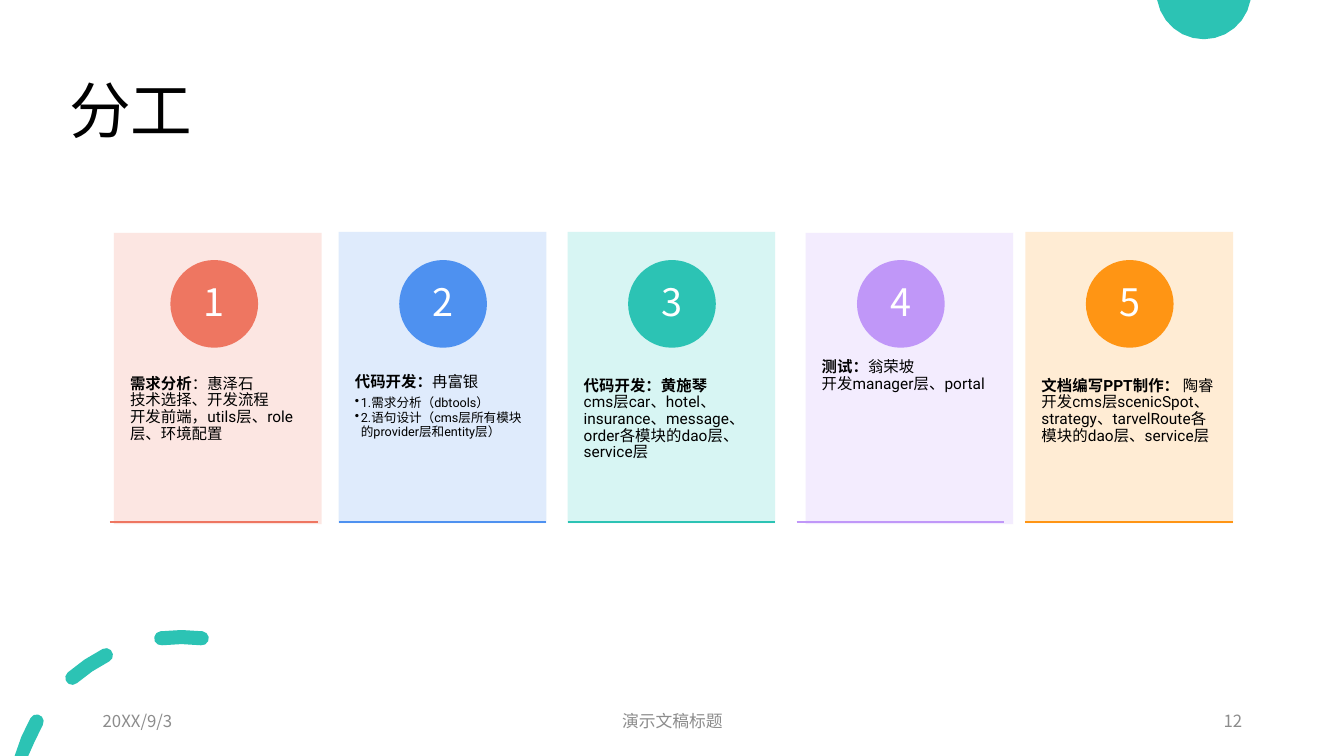
from math import cos, radians, sin

from pptx import Presentation
from pptx.dml.color import RGBColor
from pptx.enum.shapes import MSO_CONNECTOR, MSO_SHAPE
from pptx.enum.text import MSO_ANCHOR, PP_ALIGN
from pptx.oxml.ns import qn
from pptx.util import Emu, Inches, Pt
from lxml.etree import SubElement

WIDTH, HEIGHT = 13.33, 7.5
FIRST, COLUMN = 1.09, 2.27  # left edge and pitch of the card columns
CARD_TOP, CARD_WIDTH, CARD_HEIGHT = 2.3, 2.06, 2.89
CIRCLE_TOP, CIRCLE, NUMBER_INSET = 2.58, 0.87, 0.13
RULE_TOP = 5.18
HEADING_FONT, BODY_FONT = "Noto Sans CJK SC", "Roboto"

COLORS = {
    "teal": "2CC3B4", "coral": "EE7661", "blue": "4E91F0",
    "violet": "C097F8", "orange": "FF9514",
    "coral_tint": "FCE4DF", "blue_tint": "DCE9FC", "teal_tint": "D3F5F2",
    "violet_tint": "F2EAFE", "orange_tint": "FFEAD0",
    "black": "000000", "white": "FFFFFF", "grey": "8C8C8C",
}

# Colour, card shift (right, down), bold text, plain text, bullets
TASKS = [
    ("coral", (0.04, 0.01), "需求分析",
     "：惠泽石\n技术选择、开发流程\n开发前端，utils层、role层、环境配置", []),
    ("blue", (0, 0), "代码开发：", "冉富银",
     ["1.需求分析（dbtools）",
      "2.语句设计（cms层所有模块的provider层和entity层）"]),
    ("teal", (0, 0), "代码开发：黄施琴\n",
     "cms层car、hotel、insurance、message、order各模块的dao层、service层", []),
    ("violet", (0.09, 0.01), "测试：", "翁荣坡\n开发manager层、portal", []),
    ("orange", (0, 0), "文档编写PPT制作： ",
     "陶睿\n开发cms层scenicSpot、strategy、tarvelRoute各模块的dao层、service层", []),
]


def rgb(name):
    return RGBColor.from_string(COLORS[name])


def paint(shape, color):
    shape.shadow.inherit = False
    shape.fill.solid()
    shape.fill.fore_color.rgb = rgb(color)
    shape.line.fill.background()


def add_text(para, text, size, color, font=HEADING_FONT, bold=False):
    for index, part in enumerate(text.split("\n")):
        if index:
            para.add_line_break()
            line_break = para._p.findall(qn("a:br"))[-1]
            SubElement(line_break, qn("a:rPr"), sz=str(size * 100))
        if part:
            span = para.add_run()
            span.text = part
            span.font.size = Pt(size)
            span.font.bold = bold
            span.font.name = font
            span.font.color.rgb = rgb(color)
            SubElement(span.font._element, qn("a:ea"), typeface=HEADING_FONT)


def add_frame(page, bounds, anchor=MSO_ANCHOR.MIDDLE, side=0.1, top=0.05):
    box = page.shapes.add_textbox(*[Inches(value) for value in bounds])
    frame = box.text_frame
    frame.word_wrap = True
    frame.vertical_anchor = anchor
    frame.margin_left = frame.margin_right = Inches(side)
    frame.margin_top = frame.margin_bottom = Inches(top)
    return frame


def add_label(page, bounds, text, size, color, align=PP_ALIGN.LEFT):
    para = add_frame(page, bounds).paragraphs[0]
    para.alignment = align
    add_text(para, text, size, color)
    return para


def add_bullet(frame, text):
    para = frame.add_paragraph()
    para.level = 1
    properties = para._p.get_or_add_pPr()
    properties.set("marL", str(Inches(0.06)))
    properties.set("indent", str(-Inches(0.06)))
    SubElement(properties, qn("a:buChar"), char="•")
    para.line_spacing = 0.9
    para.space_after = Pt(1.4)
    add_text(para, text, 9, "black", BODY_FONT)


def add_card(page, left, top, color, heading, body, bullets):
    card = page.shapes.add_shape(MSO_SHAPE.RECTANGLE, Inches(left), Inches(top),
                                 Inches(CARD_WIDTH), Inches(CARD_HEIGHT))
    paint(card, color + "_tint")
    tint = card.element.spPr.find(".//" + qn("a:srgbClr"))
    SubElement(tint, qn("a:alpha"), val="90000")
    frame = add_frame(page, (left, top + 1.09, CARD_WIDTH, 1.73),
                      MSO_ANCHOR.TOP, 0.16, 0.36)
    para = frame.paragraphs[0]
    para.line_spacing = 0.9
    para.space_after = Pt(3.8)
    add_text(para, heading, 11, "black", BODY_FONT, bold=True)
    add_text(para, body, 11, "black", BODY_FONT)
    for bullet in bullets:
        add_bullet(frame, bullet)


def add_number(page, left, color, number):
    circle = page.shapes.add_shape(MSO_SHAPE.OVAL, Inches(left), Inches(CIRCLE_TOP),
                                   Inches(CIRCLE), Inches(CIRCLE))
    paint(circle, color)
    size = CIRCLE - 2 * NUMBER_INSET
    bounds = (left + NUMBER_INSET, CIRCLE_TOP + NUMBER_INSET, size, size)
    para = add_frame(page, bounds, side=0.07, top=0.01).paragraphs[0]
    para.alignment = PP_ALIGN.CENTER
    para.line_spacing = 0.9
    add_text(para, str(number), 27, "white")


def add_rule(page, left, color):
    rule = page.shapes.add_connector(
        MSO_CONNECTOR.STRAIGHT, Inches(left), Inches(RULE_TOP),
        Inches(left + CARD_WIDTH), Inches(RULE_TOP))
    rule.line.color.rgb = rgb(color)
    rule.line.width = Pt(1)
    SubElement(rule.element.spPr, qn("a:effectLst"))


def arc(center, radius, start, end, steps):
    """Points on an arc, in degrees, kept within the slide."""
    angles = [radians(start + (end - start) * i / steps) for i in range(steps + 1)]
    return [(center[0] + radius * cos(angle),
             min(max(center[1] - radius * sin(angle), 0), HEIGHT))
            for angle in angles]


def dash(center, radius, half, start, end):
    """Outline of a curved dash with round ends."""
    first, last = arc(center, radius, start, end, 1)
    outline = arc(center, radius + half, start, end, 2)
    if last[1] < HEIGHT - half:
        outline += arc(last, half, end, end + 180, 5)[1:-1]
    return (outline + arc(center, radius - half, end, start, 2)
            + arc(first, half, start + 180, start + 360, 5)[1:-1])


def add_outline(page, contours, color):
    paths = [[(Inches(x), Inches(y)) for x, y in contour] for contour in contours]
    builder = page.shapes.build_freeform(*paths[0][0], scale=1.0)
    for index, points in enumerate(paths):
        if index:
            builder.move_to(*points[0])
        builder.add_line_segments(points[1:], close=True)
    paint(builder.convert_to_shape(Emu(0), Emu(0)), color)


def main():
    deck = Presentation()
    deck.slide_width, deck.slide_height = Inches(WIDTH), Inches(HEIGHT)
    page = deck.slides.add_slide(deck.slide_layouts[6])

    # Corner decorations
    add_outline(page, [arc((11.94, -0.08), 0.47, 190, 350, 12)], "teal")
    spans = [(83, 97), (117, 131), (150.5, 164.2)]
    add_outline(page, [dash((1.8, 7.97), 1.65, 0.07, *span) for span in spans], "teal")

    # Title
    title = add_label(page, (0.59, 0.4, 11.5, 1.45), "分工", 44, "black")
    title.line_spacing = 0.9

    # Task cards
    for index, (color, (right, down), *texts) in enumerate(TASKS):
        left = FIRST + index * COLUMN
        add_card(page, left + right, CARD_TOP + down, color, *texts)
        add_number(page, left + 0.6, color, index + 1)
        add_rule(page, left, color)

    # Footer
    footer = [(0.92, 3, "20XX/9/3", PP_ALIGN.LEFT),
              (4.42, 4.5, "演示文稿标题", PP_ALIGN.CENTER),
              (9.42, 3, "12", PP_ALIGN.RIGHT)]
    for left, width, text, align in footer:
        add_label(page, (left, 6.95, width, 0.4), text, 12, "grey", align)

    deck.save("out.pptx")


if __name__ == "__main__":
    main()
